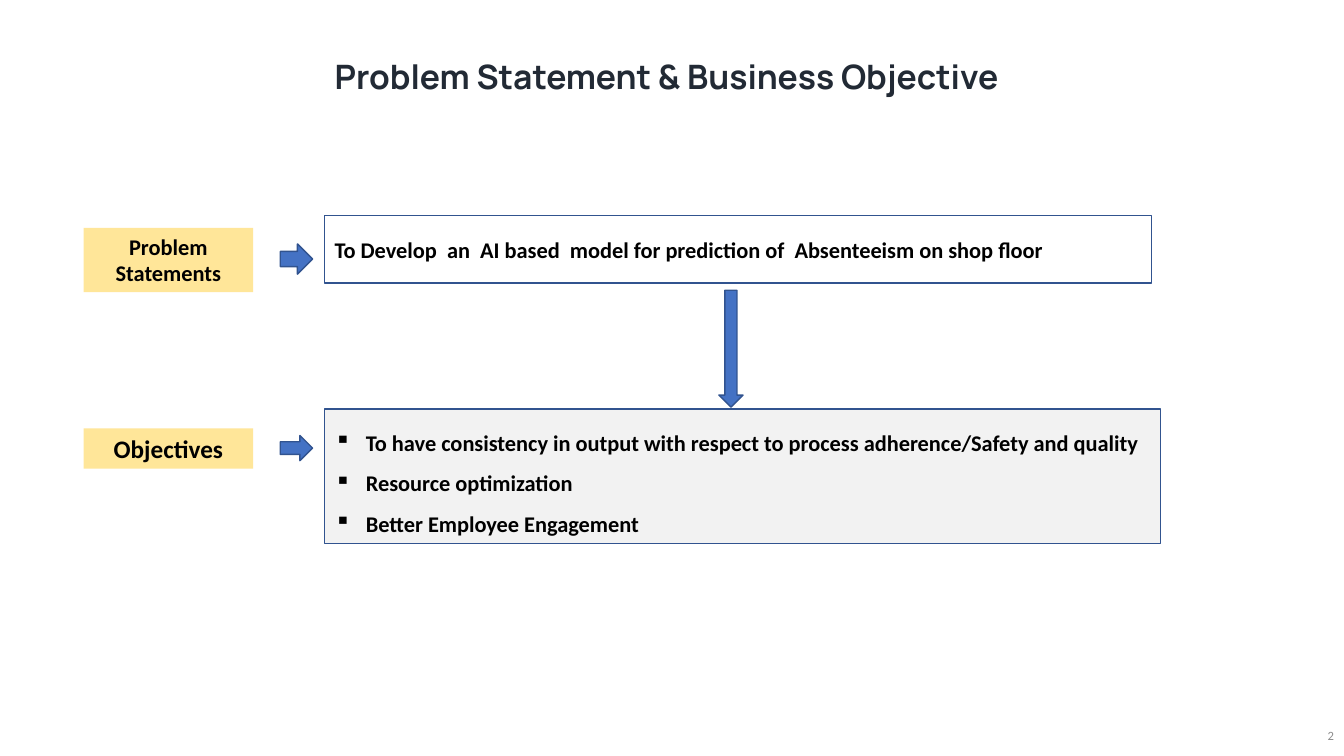
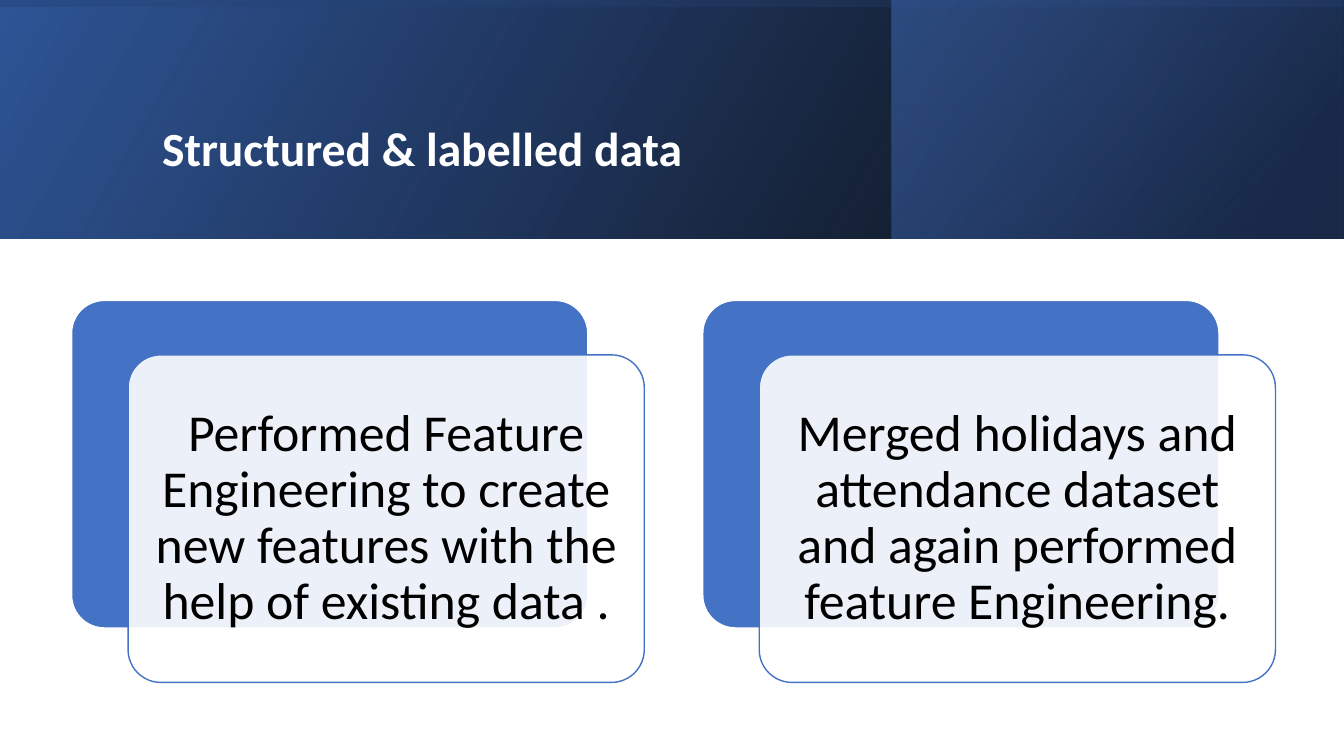
from lxml.etree import SubElement
from pptx import Presentation
from pptx.dml.color import RGBColor
from pptx.enum.shapes import MSO_SHAPE as Shape
from pptx.enum.text import MSO_ANCHOR as Anchor, PP_ALIGN as Align
from pptx.oxml.ns import qn
from pptx.util import Inches, Pt

WHITE = RGBColor(0xFF, 0xFF, 0xFF)
BLACK = RGBColor(0x00, 0x00, 0x00)
GREY = RGBColor(0x8C, 0x8C, 0x8C)
PALE_GREY = RGBColor(0xF2, 0xF2, 0xF2)
INK = RGBColor(0x22, 0x2A, 0x35)
YELLOW = RGBColor(0xFF, 0xE6, 0x99)
BLUE = RGBColor(0x44, 0x72, 0xC4)
OUTLINE_BLUE = RGBColor(0x31, 0x53, 0x8F)
MID_BLUE = RGBColor(0x2F, 0x55, 0x97)
NAVY = RGBColor(0x20, 0x38, 0x64)

SLIDE_W, SLIDE_H, BAND_H = 13.33, 7.5, 2.37
BODY_FONT, TITLE_FONT = "Calibri", "Manrope"

GOAL_TITLE = "Problem Statement & Business Objective"
PAGE_NUMBER = "2"
LABELS = [
    ("Problem Statements", 16, (0.83, 2.26, 1.68, 0.64)),
    ("Objectives", 18, (0.83, 4.25, 1.68, 0.4)),
]
STATEMENT = "To Develop  an  AI based  model for prediction of  Absenteeism on shop floor"
OBJECTIVES = [
    "To have consistency in output with respect to process adherence/Safety and quality",
    "Resource optimization",
    "Better Employee Engagement",
]
ARROWS = [
    (Shape.DOWN_ARROW, (7.13, 2.88, 0.24, 1.16)),
    (Shape.RIGHT_ARROW, (2.78, 2.42, 0.32, 0.3)),
    (Shape.RIGHT_ARROW, (2.78, 4.32, 0.32, 0.25)),
]

DATA_TITLE = "Structured & labelled data"
BAND_LAYERS = [
    ((0, 0, SLIDE_W, BAND_H), 0, 330, [(0, BLACK, 96), (100, MID_BLUE, 100)]),
    ((8.84, 0, 4.48, BAND_H), 0, 320, [(19, NAVY, 68), (100, BLUE, 48)]),
    (((SLIDE_W - BAND_H) / 2, (BAND_H - SLIDE_W) / 2, BAND_H, SLIDE_W), 270, 350,
     [(23, MID_BLUE, 16), (99, BLACK, 45)]),
]
CARDS = [
    "Performed Feature Engineering to create new features with the help of existing data .",
    "Merged holidays and attendance dataset and again performed feature Engineering.",
]
CARD_LEFT, CARD_TOP, CARD_W, CARD_H = 0.71, 2.98, 5.12, 3.25
CARD_PITCH, CARD_SHIFT_X, CARD_SHIFT_Y = 6.26, 0.56, 0.54


def set_alpha(color_element, percent):
    """Set the opacity of a colour element."""
    SubElement(color_element, qn("a:alpha")).set("val", str(percent * 1000))


def add_block(slide, preset, box, fill=None, line=None):
    """Add a preset shape without shadow."""
    block = slide.shapes.add_shape(preset, *map(Inches, box))
    block.shadow.inherit = False
    if fill is not None:
        block.fill.solid()
        block.fill.fore_color.rgb = fill
    if line is None:
        block.line.fill.background()
    else:
        block.line.color.rgb = line
        block.line.width = Pt(1)
    return block


def write(holder, lines, size, color=BLACK, bold=False, font=BODY_FONT,
          align=Align.LEFT, anchor=Anchor.MIDDLE, spacing=1.0):
    """Fill a shape with evenly styled paragraphs."""
    frame = holder.text_frame
    frame.word_wrap = True
    frame.vertical_anchor = anchor
    frame.text = "\n".join(lines)
    for paragraph in frame.paragraphs:
        paragraph.alignment = align
        paragraph.line_spacing = spacing
        for run in paragraph.runs:
            run.font.size = Pt(size)
            run.font.name = font
            run.font.bold = bold
            run.font.color.rgb = color


def add_label(slide, box, text, size, **style):
    """Add a text box."""
    write(slide.shapes.add_textbox(*map(Inches, box)), [text], size, **style)


def add_bullets(holder):
    """Give every paragraph a square bullet and a hanging indent."""
    for paragraph in holder.text_frame.paragraphs:
        properties = paragraph._p.get_or_add_pPr()
        properties.set("marL", str(Inches(0.31)))
        properties.set("indent", str(-Inches(0.31)))
        bullet_color = SubElement(properties, qn("a:buClr"))
        SubElement(bullet_color, qn("a:srgbClr")).set("val", str(BLACK))
        SubElement(properties, qn("a:buChar")).set("char", "▪")


def add_band_layer(slide, box, rotation, angle, stops):
    """Add one mirrored gradient layer of the title band."""
    layer = add_block(slide, Shape.RECTANGLE, box)
    layer.rotation = rotation
    layer.fill.gradient()
    layer.fill.gradient_angle = 360 - angle
    for stop, (position, color, _) in zip(layer.fill.gradient_stops, stops):
        stop.position = position / 100
        stop.color.rgb = color
    properties = layer.element.spPr
    properties.find(qn("a:xfrm")).set("flipH", "1")
    for color_element, (_, _, opacity) in zip(properties.iter(qn("a:srgbClr")), stops):
        set_alpha(color_element, opacity)


def add_card(slide, left, text):
    """Add a blue card with a translucent text card in front."""
    add_block(slide, Shape.ROUNDED_RECTANGLE, (left, CARD_TOP, CARD_W, CARD_H),
              BLUE, WHITE).adjustments[0] = 0.1
    front_box = (left + CARD_SHIFT_X, CARD_TOP + CARD_SHIFT_Y, CARD_W, CARD_H)
    front = add_block(slide, Shape.ROUNDED_RECTANGLE, front_box, WHITE, BLUE)
    front.adjustments[0] = 0.1
    set_alpha(front.element.spPr.find(qn("a:solidFill"))[0], 90)
    frame = front.text_frame
    frame.margin_left = frame.margin_right = Inches(0.15)
    frame.margin_top = frame.margin_bottom = Inches(0.15)
    write(front, [text], 37, align=Align.CENTER, spacing=0.9)


def build_goal_slide(slide):
    """Build the problem and objective slide."""
    add_label(slide, (12.98, 7.1, 0.35, 0.4), PAGE_NUMBER, 9, color=GREY, align=Align.RIGHT)
    statement = add_block(slide, Shape.RECTANGLE, (3.22, 2.14, 8.2, 0.67), WHITE, OUTLINE_BLUE)
    write(statement, [STATEMENT], 16, bold=True)
    objectives = add_block(slide, Shape.RECTANGLE, (3.22, 4.06, 8.29, 1.33),
                           PALE_GREY, OUTLINE_BLUE)
    write(objectives, OBJECTIVES, 16, bold=True, spacing=1.5)
    add_bullets(objectives)
    for text, size, box in LABELS:
        label = add_block(slide, Shape.RECTANGLE, box, YELLOW)
        write(label, [text], size, bold=True, align=Align.CENTER, anchor=Anchor.TOP)
    for preset, box in ARROWS:
        add_block(slide, preset, box, BLUE, OUTLINE_BLUE)
    add_label(slide, (3.22, 0.31, 7.44, 0.71), GOAL_TITLE, 24, color=INK, bold=True,
              font=TITLE_FONT, align=Align.JUSTIFY, anchor=Anchor.TOP, spacing=1.5)


def build_data_slide(slide):
    """Build the structured data slide."""
    for layer in BAND_LAYERS:
        add_band_layer(slide, *layer)
    add_label(slide, (1.51, 1.1, 10.63, 0.8), DATA_TITLE, 34, color=WHITE, bold=True,
              spacing=0.9)
    for index, text in enumerate(CARDS):
        add_card(slide, CARD_LEFT + index * CARD_PITCH, text)


def main():
    """Build and save the presentation."""
    deck = Presentation()
    deck.slide_width, deck.slide_height = Inches(SLIDE_W), Inches(SLIDE_H)
    for build in (build_goal_slide, build_data_slide):
        build(deck.slides.add_slide(deck.slide_layouts[6]))
    deck.save("out.pptx")


if __name__ == "__main__":
    main()
